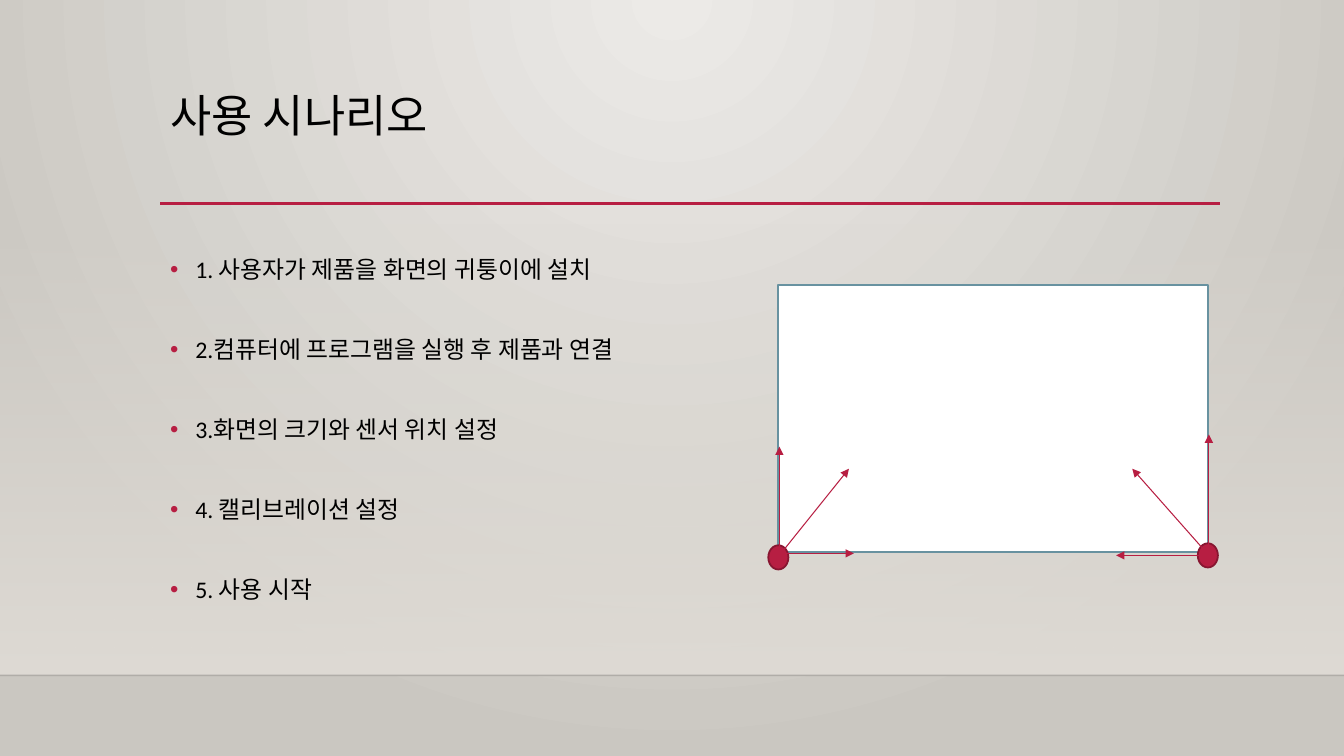
import dataclasses
import typing

import lxml.etree
import pptx
import pptx.dml.color
import pptx.enum.dml
import pptx.enum.shapes
import pptx.enum.text
import pptx.oxml
import pptx.oxml.ns
import pptx.util

Inches = pptx.util.Inches
Pt = pptx.util.Pt
RGBColor = pptx.dml.color.RGBColor
qn = pptx.oxml.ns.qn
ShapeType = pptx.enum.shapes.MSO_SHAPE

BLACK = RGBColor(0x00, 0x00, 0x00)
WHITE = RGBColor(0xFF, 0xFF, 0xFF)
CRIMSON = RGBColor(0xB7, 0x1E, 0x42)
DARK_CRIMSON = RGBColor(0x87, 0x16, 0x31)
TEAL = RGBColor(0x68, 0x92, 0xA0)
SAND = RGBColor(0xDF, 0xDB, 0xD5)
LIGHT_GREY = RGBColor(0xEC, 0xEA, 0xE7)
DARK_GREY = RGBColor(0xCA, 0xC7, 0xC1)

FONT = "Calibri"
TITLE = "사용 시나리오"
STEPS = (
    "1. 사용자가 제품을 화면의 귀퉁이에 설치",
    "2.컴퓨터에 프로그램을 실행 후 제품과 연결",
    "3.화면의 크기와 센서 위치 설정",
    "4. 캘리브레이션 설정",
    "5. 사용 시작",
)


@dataclasses.dataclass(frozen=True)
class Box:
    left: float
    top: float
    width: float
    height: float

    def lengths(self) -> tuple:
        return tuple(Inches(value) for value in dataclasses.astuple(self))


@dataclasses.dataclass(frozen=True)
class Figure:
    kind: ShapeType
    box: Box
    fill: RGBColor
    outline: RGBColor


@dataclasses.dataclass(frozen=True)
class Line:
    start: tuple[float, float]
    end: tuple[float, float]
    color: RGBColor = CRIMSON
    width: float = 0.75
    arrow: bool = True
    opacity: int = 100


BACKDROP = Box(0, 2.21, 13.33, 4.49)
TITLE_BOX = Box(1.59, 0.88, 10.5, 1.15)
STEPS_BOX = Box(1.59, 2.51, 10.5, 3.77)

RULES = (
    Line((0, 6.7), (13.33, 6.7), BLACK, 1, False, 20),
    Line((1.59, 2.02), (12.1, 2.02), CRIMSON, 2.5, False),
)
FIGURES = (
    Figure(ShapeType.RECTANGLE, Box(7.72, 2.83, 4.26, 2.65), WHITE, TEAL),
    Figure(ShapeType.OVAL, Box(7.62, 5.41, 0.2, 0.24), CRIMSON, DARK_CRIMSON),
    Figure(ShapeType.OVAL, Box(11.88, 5.39, 0.2, 0.24), CRIMSON, DARK_CRIMSON),
)
SENSOR_ARROWS = (
    Line((7.73, 5.51), (8.42, 4.65)),
    Line((7.73, 5.49), (8.47, 5.49)),
    Line((11.99, 5.51), (11.07, 5.51)),
    Line((7.73, 5.49), (7.73, 4.43)),
    Line((11.99, 5.49), (11.99, 4.31)),
    Line((11.99, 5.51), (11.23, 4.65)),
)


def apply_format(target: typing.Any, values: dict[str, typing.Any]) -> None:
    for name, value in values.items():
        setattr(target, name, value)


def set_alpha(color: lxml.etree.ElementBase, percent: int) -> None:
    lxml.etree.SubElement(color, qn("a:alpha"), val=str(percent * 1000))


def set_gradient(fill: typing.Any, colors: tuple[RGBColor, RGBColor]) -> None:
    fill.gradient()
    for stop, color, position in zip(fill.gradient_stops, colors, (0, 1)):
        stop.color.rgb = color
        stop.position = position


def paint_background(slide: typing.Any) -> None:
    set_gradient(slide.background.fill, (LIGHT_GREY, DARK_GREY))
    linear = next(slide.element.iter(qn("a:lin")))
    radial = pptx.oxml.parse_xml(
        f'<a:path {pptx.oxml.ns.nsdecls("a")} path="circle">'
        '<a:fillToRect l="43000" t="0" r="43000" b="100000"/></a:path>'
    )
    linear.getparent().replace(linear, radial)


def add_backdrop(slide: typing.Any) -> None:
    shape = slide.shapes.add_shape(ShapeType.RECTANGLE, *BACKDROP.lengths())
    shape.shadow.inherit = False
    shape.line.fill.background()
    set_gradient(shape.fill, (SAND, SAND))
    shape.fill.gradient_angle = 270
    set_alpha(next(shape.element.iter(qn("a:srgbClr"))), 0)


def add_line(shapes: typing.Any, line: Line) -> None:
    connector = shapes.add_connector(
        pptx.enum.shapes.MSO_CONNECTOR.STRAIGHT,
        *(Inches(value) for value in line.start + line.end),
    )
    connector.line.width = Pt(line.width)
    connector.line.color.rgb = line.color
    properties = connector.element.spPr
    if line.opacity < 100:
        set_alpha(next(properties.iter(qn("a:srgbClr"))), line.opacity)
    if line.arrow:
        outline = properties.find(qn("a:ln"))
        lxml.etree.SubElement(outline, qn("a:tailEnd"), type="triangle")
    lxml.etree.SubElement(properties, qn("a:effectLst"))


def add_figure(shapes: typing.Any, figure: Figure) -> None:
    shape = shapes.add_shape(figure.kind, *figure.box.lengths())
    shape.shadow.inherit = False
    shape.fill.solid()
    shape.fill.fore_color.rgb = figure.fill
    shape.line.color.rgb = figure.outline
    shape.line.width = Pt(1.25)


def write_paragraph(paragraph: typing.Any, text: str, size: float, layout: dict) -> None:
    run = paragraph.add_run()
    run.text = text
    apply_format(run.font, {"name": FONT, "size": Pt(size)})
    run.font.color.rgb = BLACK
    apply_format(paragraph, {"alignment": pptx.enum.text.PP_ALIGN.LEFT, **layout})


def add_bullet(paragraph: typing.Any) -> None:
    properties = paragraph._p.get_or_add_pPr()
    apply_format_values = {"marL": Inches(0.25), "indent": Inches(-0.25)}
    for name, value in apply_format_values.items():
        properties.set(name, str(value))
    color = lxml.etree.SubElement(properties, qn("a:buClr"))
    lxml.etree.SubElement(color, qn("a:srgbClr"), val=str(CRIMSON))
    lxml.etree.SubElement(properties, qn("a:buFont"), typeface="Arial")
    lxml.etree.SubElement(properties, qn("a:buChar"), char="•")


def add_title(slide: typing.Any) -> None:
    title = slide.shapes.title
    names = ("left", "top", "width", "height")
    apply_format(title, dict(zip(names, TITLE_BOX.lengths())))
    title.text_frame.vertical_anchor = pptx.enum.text.MSO_ANCHOR.TOP
    write_paragraph(title.text_frame.paragraphs[0], TITLE, 32, {"line_spacing": 0.9})


def add_steps(slide: typing.Any) -> None:
    frame = slide.shapes.add_textbox(*STEPS_BOX.lengths()).text_frame
    frame.word_wrap = True
    for index, step in enumerate(STEPS):
        paragraph = frame.add_paragraph() if index else frame.paragraphs[0]
        layout = {"space_before": Pt(38.8 if index else 0), "line_spacing": 0.9}
        write_paragraph(paragraph, step, 17, layout)
        add_bullet(paragraph)


def main() -> None:
    presentation = pptx.Presentation()
    size = {"slide_width": Inches(13.33), "slide_height": Inches(7.5)}
    apply_format(presentation, size)
    slide = presentation.slides.add_slide(presentation.slide_layouts[5])
    paint_background(slide)
    add_backdrop(slide)
    for rule in RULES:
        add_line(slide.shapes, rule)
    add_title(slide)
    add_steps(slide)
    diagram = slide.shapes.add_group_shape()
    for figure in FIGURES:
        add_figure(diagram.shapes, figure)
    for arrow in SENSOR_ARROWS:
        add_line(diagram.shapes, arrow)
    presentation.save("out.pptx")


if __name__ == "__main__":
    main()
